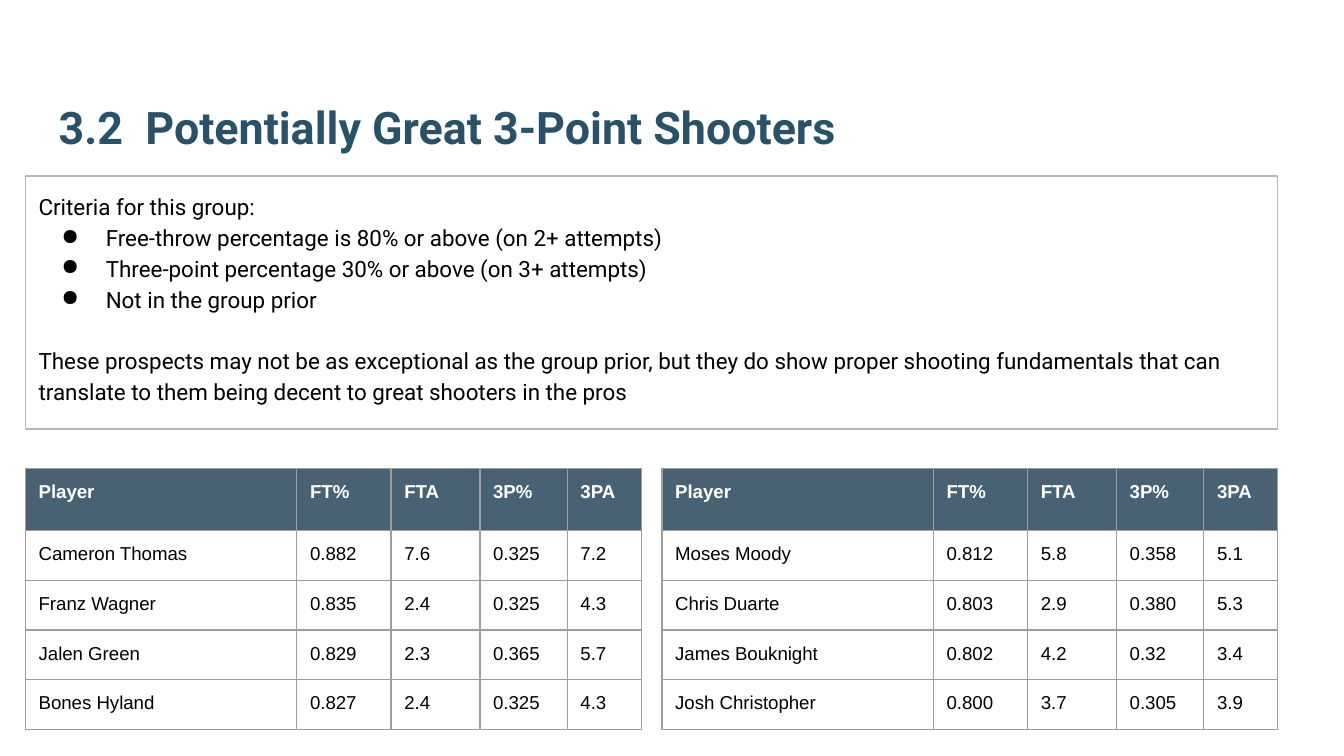
"""Builds the slide on potentially great 3-point shooters."""
from dataclasses import dataclass

from lxml.etree import SubElement as Sub
from pptx import Presentation
from pptx.dml.color import RGBColor
from pptx.enum.shapes import MSO_SHAPE as Shape
from pptx.enum.text import MSO_ANCHOR as Anchor, PP_ALIGN as Align
from pptx.oxml.ns import qn
from pptx.slide import Slide
from pptx.util import Cm, Pt

LEFT, WIDTH = 0.48, 23.67
TABLE_TOP = 8.86
COLUMNS = [5.13, 1.78, 1.68, 1.65, 1.4]
ROWS = [1.17] + [0.94] * 4
HEADINGS = ["Player", "FT%", "FTA", "3P%", "3PA"]
LEFT_PLAYERS = [
    ["Cameron Thomas", "0.882", "7.6", "0.325", "7.2"],
    ["Franz Wagner", "0.835", "2.4", "0.325", "4.3"],
    ["Jalen Green", "0.829", "2.3", "0.365", "5.7"],
    ["Bones Hyland", "0.827", "2.4", "0.325", "4.3"],
]
RIGHT_PLAYERS = [
    ["Moses Moody", "0.812", "5.8", "0.358", "5.1"],
    ["Chris Duarte", "0.803", "2.9", "0.380", "5.3"],
    ["James Bouknight", "0.802", "4.2", "0.32", "3.4"],
    ["Josh Christopher", "0.800", "3.7", "0.305", "3.9"],
]
CRITERIA = [
    "Free-throw percentage is 80% or above (on 2+ attempts)",
    "Three-point percentage 30% or above (on 3+ attempts)",
    "Not in the group prior",
]
OUTLOOK = ("These prospects may not be as exceptional as the group prior, but they do show "
           "proper shooting fundamentals that can translate to them being decent to great "
           "shooters in the pros")


def paint(color, value):
    color.rgb = RGBColor.from_string(value)


@dataclass
class Style:
    page: Slide
    heading_font: str = "Roboto"
    table_font: str = "Arial"
    title_color: str = "295269"
    text_color: str = "000000"
    header_text: str = "FFFFFF"
    header_fill: str = "204056"
    header_alpha: str = "82000"
    box_line: str = "B7B7B7"
    grid_line: str = "9E9E9E"
    inset: float = 0.25

    def span(self, para, text, font, size, color, bold=False):
        span = para.add_run()
        span.text = text
        span.font.name, span.font.size, span.font.bold = font, Pt(size), bold
        paint(span.font.color, color)

    def frame(self, box, anchor):
        frame = box.text_frame
        frame.word_wrap = True
        frame.vertical_anchor = anchor
        frame.margin_left = frame.margin_right = Cm(self.inset)
        frame.margin_top = frame.margin_bottom = Cm(self.inset)
        return frame

    def title(self, text, left, top, width, height):
        box = self.page.shapes.add_textbox(Cm(left), Cm(top), Cm(width), Cm(height))
        para = self.frame(box, Anchor.BOTTOM).paragraphs[0]
        self.span(para, text, self.heading_font, 24, self.title_color, True)

    def bullet(self, para):
        props = para._p.get_or_add_pPr()
        props.set("marL", str(Cm(1.27)))
        props.set("indent", str(Cm(-0.84)))
        Sub(Sub(props, qn("a:buClr")), qn("a:srgbClr"), val=self.text_color)
        Sub(props, qn("a:buChar"), char="●")

    def criteria(self, intro, points, outlook, left, top, width, height):
        box = self.page.shapes.add_shape(
            Shape.RECTANGLE, Cm(left), Cm(top), Cm(width), Cm(height))
        box.shadow.inherit = False
        box.fill.background()
        paint(box.line.color, self.box_line)
        box.line.width = Pt(0.75)
        frame = self.frame(box, Anchor.TOP)
        lines = [intro, *points, outlook]
        for index, text in enumerate(lines):
            para = frame.add_paragraph() if index else frame.paragraphs[0]
            if text in points:
                self.bullet(para)
            para.alignment = Align.LEFT
            para.line_spacing = 1.15
            self.span(para, text, self.heading_font, 12, self.text_color)
        para.space_before = Pt(16.2)

    def cell(self, cell, text, header):
        cell.margin_left = cell.margin_right = Cm(self.inset)
        cell.margin_top = cell.margin_bottom = Cm(self.inset)
        props = cell._tc.get_or_add_tcPr()
        for side in ("lnL", "lnR", "lnT", "lnB"):
            edge = Sub(props, qn(f"a:{side}"), w=str(Pt(0.75)))
            Sub(Sub(edge, qn("a:solidFill")), qn("a:srgbClr"), val=self.grid_line)
        if header:
            cell.fill.solid()
            paint(cell.fill.fore_color, self.header_fill)
            tint = props.find(qn("a:solidFill")).find(qn("a:srgbClr"))
            Sub(tint, qn("a:alpha"), val=self.header_alpha)
        else:
            cell.fill.background()
        color = self.header_text if header else self.text_color
        self.span(cell.text_frame.paragraphs[0], text, self.table_font, 10, color, header)

    def table(self, rows, left, top):
        table = self.page.shapes.add_table(
            len(rows), len(COLUMNS), Cm(left), Cm(top), Cm(sum(COLUMNS)), Cm(sum(ROWS))).table
        table.horz_banding = False
        for column, width in zip(table.columns, COLUMNS):
            column.width = Cm(width)
        for row, height, texts in zip(table.rows, ROWS, rows):
            row.height = Cm(height)
            for cell, text in zip(row.cells, texts):
                self.cell(cell, text, texts is HEADINGS)


def main():
    deck = Presentation()
    deck.slide_width, deck.slide_height = Cm(25.4), Cm(14.29)
    style = Style(deck.slides.add_slide(deck.slide_layouts[6]))
    style.title("3.2  Potentially Great 3-Point Shooters", 0.86, 0.81, WIDTH, 2.34)
    style.criteria("Criteria for this group:", CRITERIA, OUTLOOK, LEFT, 3.33, WIDTH, 4.78)
    style.table([HEADINGS, *LEFT_PLAYERS], LEFT, TABLE_TOP)
    style.table([HEADINGS, *RIGHT_PLAYERS], LEFT + WIDTH - sum(COLUMNS), TABLE_TOP)
    deck.save("out.pptx")


if __name__ == "__main__":
    main()
